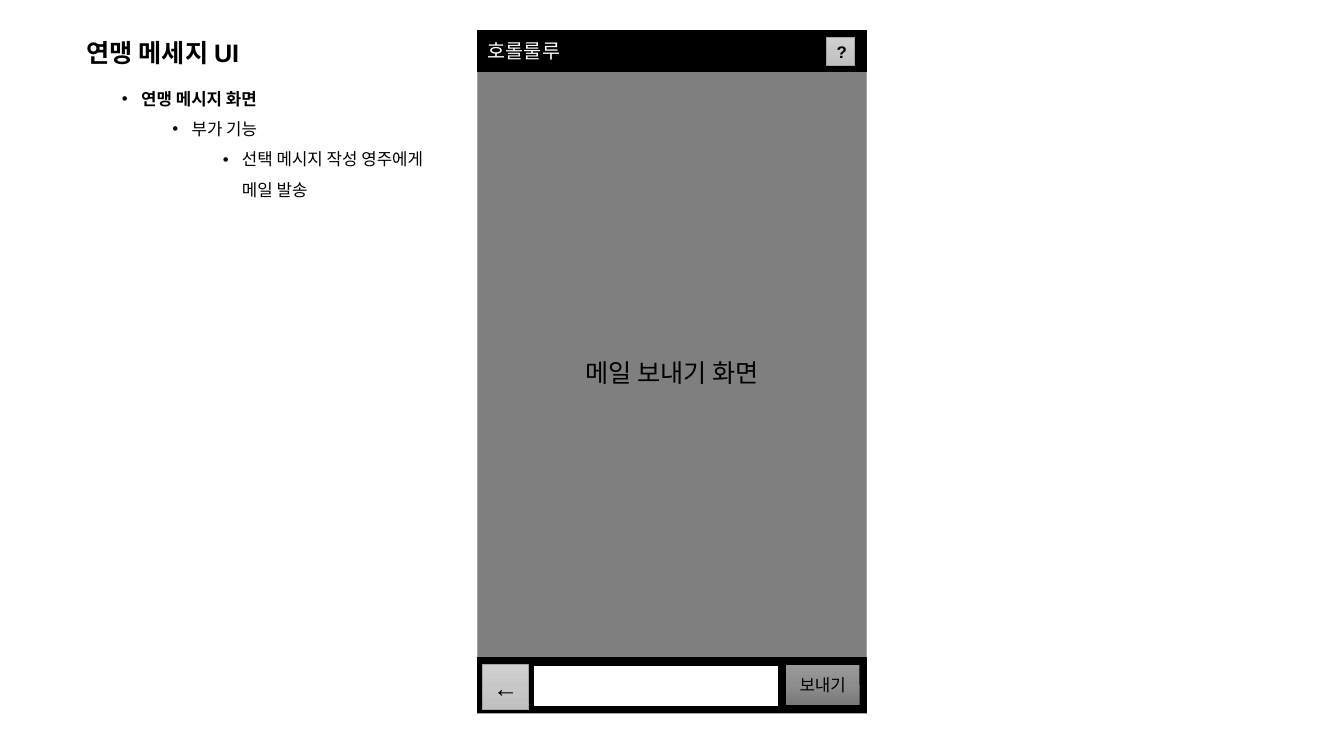
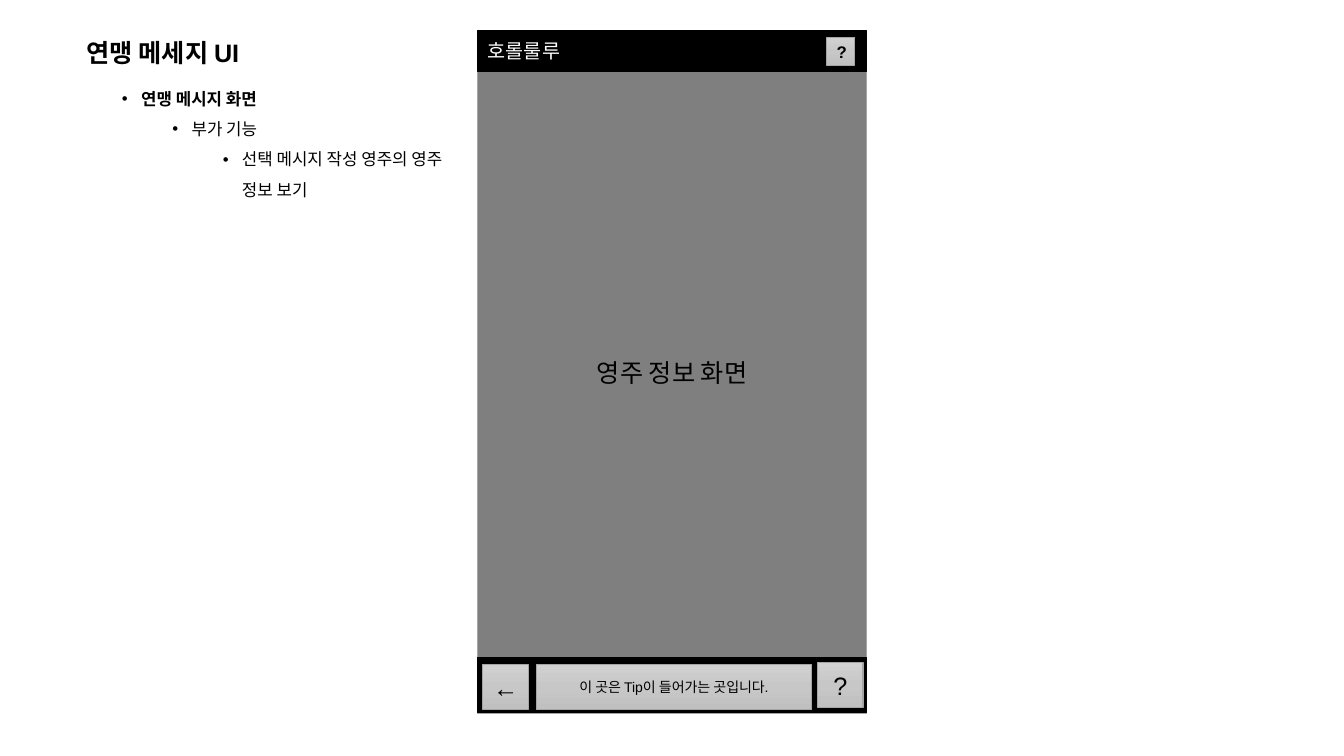
"""Build two wireframe slides for the alliance message screens."""
import copy

import lxml.etree
import pptx
import pptx.dml.color
import pptx.enum.shapes
import pptx.enum.text
import pptx.oxml.ns
import pptx.util

Inches, Pt = pptx.util.Inches, pptx.util.Pt
RGBColor = pptx.dml.color.RGBColor
SHAPES = pptx.enum.shapes.MSO_SHAPE
ALIGN = pptx.enum.text.PP_ALIGN
ANCHOR = pptx.enum.text.MSO_ANCHOR
qn = pptx.oxml.ns.qn

BLACK = RGBColor(0x00, 0x00, 0x00)
WHITE = RGBColor(0xFF, 0xFF, 0xFF)
SCREEN_GRAY = RGBColor(0x7F, 0x7F, 0x7F)
EDGE_GRAY = RGBColor(0xA5, 0xA5, 0xA5)
LIGHT_BUTTON = tuple(RGBColor(v, v, v) for v in (0xD1, 0xC7, 0xC0))
DARK_BUTTON = tuple(RGBColor(v, v, v) for v in (0x9A, 0x8D, 0x78))

FONT = "Arial"
TITLE = "연맹 메세지 UI"
TITLE_AREA = (0.76, 0.32, 1.91, 0.4)
OUTLINE_AREA = (1.11, 0.73, 3.51, 1.31)
OUTLINE_START = ["연맹 메시지 화면", "부가 기능"]
BULLET_HANG = 0.19
LEVEL_STEP = 0.5

PHONE_LEFT, PHONE_TOP, PHONE_WIDTH, PHONE_HEIGHT = 4.74, 0.3, 3.85, 6.78
HEADER_HEIGHT = 0.41
FOOTER_TOP, FOOTER_HEIGHT = 6.52, 0.55
BUTTON = 0.45

BACK_BUTTON = dict(area=(4.79, 6.59, BUTTON, BUTTON), fill=LIGHT_BUTTON, text="←")
PAGES = [
    dict(
        detail="선택 메시지 작성 영주에게 메일 발송",
        screen="메일 보내기 화면",
        footer=[
            dict(area=(7.79, 6.59, 0.74, 0.41), fill=DARK_BUTTON, line=BLACK,
                 text="보내기", size=12, rounding=0.004),
            dict(area=(5.29, 6.6, 2.43, 0.41), fill=WHITE, line=BLACK),
            BACK_BUTTON,
        ],
    ),
    dict(
        detail="선택 메시지 작성 영주의 영주 정보 보기",
        screen="영주 정보 화면",
        footer=[
            BACK_BUTTON,
            dict(area=(8.11, 6.57, BUTTON, BUTTON), fill=LIGHT_BUTTON, text="?"),
            dict(area=(5.32, 6.59, 2.73, BUTTON), fill=LIGHT_BUTTON,
                 text="이 곳은 Tip이 들어가는 곳입니다.", size=10),
        ],
    ),
]


def style_font(para, size, color=BLACK, bold=False):
    """Set the font of a whole paragraph."""
    para.font.name = FONT
    para.font.size = Pt(size)
    para.font.bold = bold
    para.font.color.rgb = color


def place(box, area):
    """Move and size a placeholder, with its text fixed at the top."""
    box.left, box.top, box.width, box.height = map(Inches, area)
    frame = box.text_frame
    frame.word_wrap = True
    frame.auto_size = pptx.enum.text.MSO_AUTO_SIZE.NONE
    frame.vertical_anchor = ANCHOR.TOP
    return frame


def fill_gradient(shape, colors):
    """Fill a shape from top to bottom with evenly spaced colours."""
    shape.fill.gradient()
    stop_list = shape._element.spPr.find(qn("a:gradFill")).find(qn("a:gsLst"))
    stop_list.insert(1, copy.deepcopy(stop_list[0]))
    for index, (stop, color) in enumerate(zip(shape.fill.gradient_stops, colors)):
        stop.color.rgb = color
        stop.position = index / (len(colors) - 1)
    shape.fill.gradient_angle = 270


def add_box(page, area, fill, line=EDGE_GRAY, text="", size=18, color=BLACK,
            bold=False, align=ALIGN.CENTER, rounding=None):
    """Add one part of the phone screen."""
    kind = SHAPES.RECTANGLE if rounding is None else SHAPES.ROUNDED_RECTANGLE
    box = page.shapes.add_shape(kind, *map(Inches, area))
    if rounding is not None:
        box.adjustments[0] = rounding
    box.shadow.inherit = False
    if isinstance(fill, RGBColor):
        box.fill.solid()
        box.fill.fore_color.rgb = fill
    else:
        fill_gradient(box, fill)
    box.line.color.rgb = line
    box.line.width = Pt(0.75)
    if text:
        frame = box.text_frame
        frame.word_wrap = True
        frame.vertical_anchor = ANCHOR.MIDDLE
        para = frame.paragraphs[0]
        para.text = text
        para.alignment = align
        style_font(para, size, color, bold)


def add_bullet(para, level):
    """Give a paragraph a round bullet and the indent of its level."""
    para.level = level
    props = para._p.get_or_add_pPr()
    props.set("marL", str(Inches(BULLET_HANG + LEVEL_STEP * level)))
    props.set("indent", str(-Inches(BULLET_HANG)))
    color = lxml.etree.SubElement(props, qn("a:buClr"))
    lxml.etree.SubElement(color, qn("a:srgbClr"), val=str(BLACK))
    lxml.etree.SubElement(props, qn("a:buFont"), typeface=FONT)
    lxml.etree.SubElement(props, qn("a:buChar"), char="•")


def add_text(page, detail):
    """Fill the title and the outline beside the phone."""
    title = place(page.shapes.title, TITLE_AREA).paragraphs[0]
    title.text = TITLE
    title.alignment = ALIGN.LEFT
    style_font(title, 18, bold=True)

    frame = place(page.placeholders[1], OUTLINE_AREA)
    for level, text in enumerate(OUTLINE_START + [detail]):
        para = frame.add_paragraph() if level else frame.paragraphs[0]
        para.text = text
        add_bullet(para, level)
        para.line_spacing = 1.5
        para.space_before = Pt(0)
        style_font(para, 12, bold=level == 0)


def add_phone(page, screen, footer):
    """Draw the phone screen with its header and footer bars."""
    add_box(page, (PHONE_LEFT, PHONE_TOP, PHONE_WIDTH, PHONE_HEIGHT),
            SCREEN_GRAY, text=screen)
    add_box(page, (PHONE_LEFT, PHONE_TOP, PHONE_WIDTH, HEADER_HEIGHT), BLACK, BLACK,
            text="호롤룰루", size=14, color=WHITE, align=ALIGN.LEFT)
    add_box(page, (8.2, 0.37, 0.28, 0.28), LIGHT_BUTTON, text="?", size=12, bold=True)
    add_box(page, (PHONE_LEFT, FOOTER_TOP, PHONE_WIDTH, FOOTER_HEIGHT), BLACK, BLACK)
    for part in footer:
        add_box(page, **part)


def main():
    """Build and save the deck."""
    deck = pptx.Presentation()
    deck.slide_width, deck.slide_height = Inches(13.33), Inches(7.5)
    for content in PAGES:
        page = deck.slides.add_slide(deck.slide_layouts[1])
        add_text(page, content["detail"])
        add_phone(page, content["screen"], content["footer"])
    deck.save("out.pptx")


if __name__ == "__main__":
    main()
